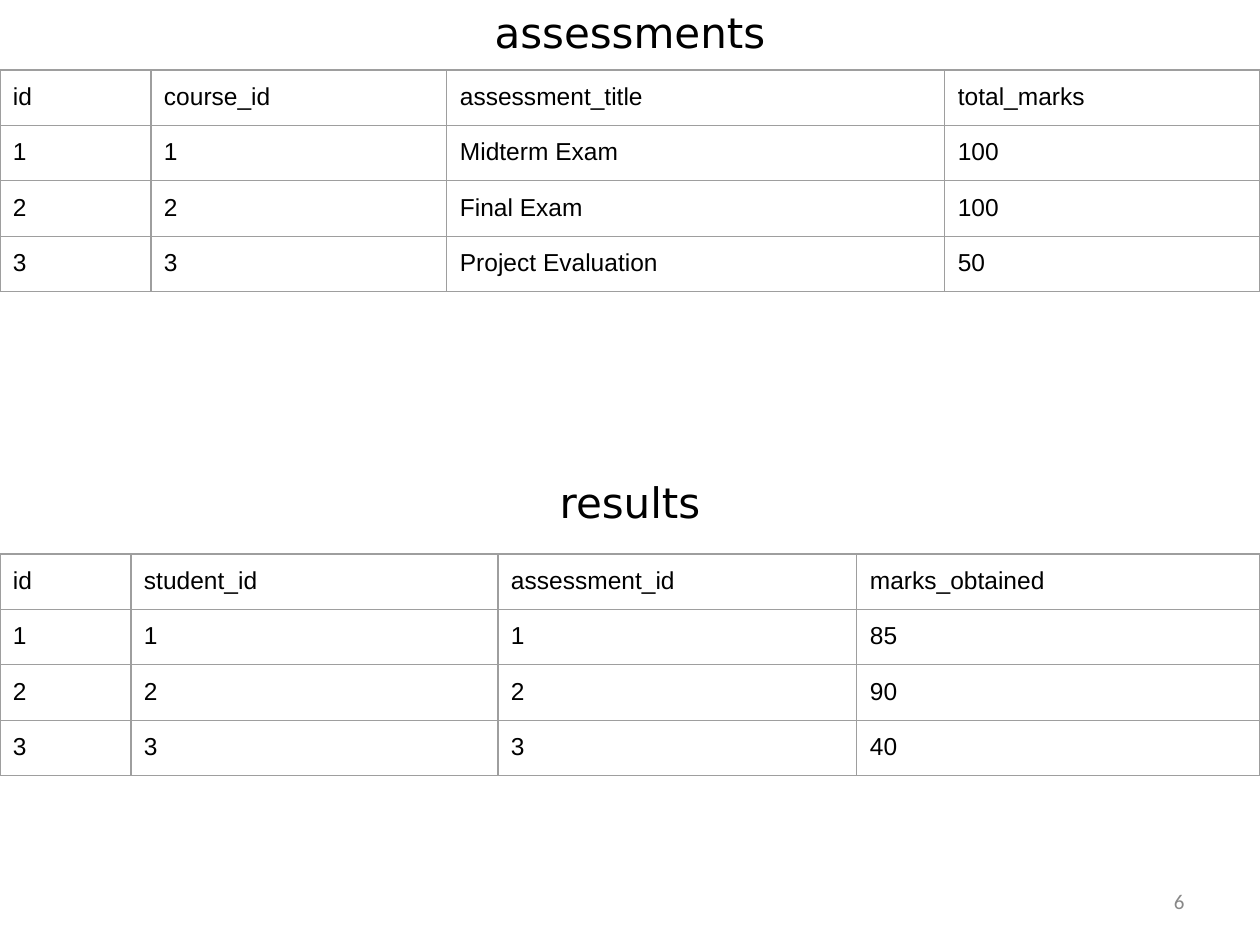
from lxml import etree
from pptx import Presentation
from pptx.dml.color import RGBColor
from pptx.enum.text import MSO_ANCHOR, MSO_AUTO_SIZE, PP_ALIGN
from pptx.oxml.ns import qn
from pptx.util import Pt

CENTER, RIGHT = PP_ALIGN.CENTER, PP_ALIGN.RIGHT
MIDDLE = MSO_ANCHOR.MIDDLE
NO_FIT = MSO_AUTO_SIZE.NONE
PX = 914400 // 126
WIDE, HIGH = 1260, 945
ROW, PAD = 53, 13
BLACK, GREY, RULE = "000000", "888888", "9E9E9E"

# heading, space before in points
HEADS = [("assessments", 4.8), ("results", 240)]
# top, column widths, rows
TABLES = [
    (70, [151, 296, 498, 315], [
        ("id", "course_id", "assessment_title", "total_marks"),
        ("1", "1", "Midterm Exam", "100"),
        ("2", "2", "Final Exam", "100"),
        ("3", "3", "Project Evaluation", "50"),
    ]),
    (554, [131, 367, 359, 403], [
        ("id", "student_id", "assessment_id", "marks_obtained"),
        ("1", "1", "1", "85"),
        ("2", "2", "2", "90"),
        ("3", "3", "3", "40"),
    ]),
]
PAGE = "6"


def px(*sizes):
    return [size * PX for size in sizes]


def add_run(para, text, font, size, color):
    run = para.add_run()
    run.text = text
    run.font.name = font
    run.font.size = Pt(size)
    run.font.color.rgb = RGBColor.from_string(color)


def add_rules(cell):
    props = cell._tc.get_or_add_tcPr()
    for spot, side in enumerate(("lnL", "lnR", "lnT", "lnB")):
        line = etree.Element(qn("a:" + side), w=str(Pt(0.75)))
        fill = etree.SubElement(line, qn("a:solidFill"))
        etree.SubElement(fill, qn("a:srgbClr"), val=RULE)
        props.insert(spot, line)


def add_grid(slide, top, cols, rows):
    place = px(0, top, sum(cols), ROW * len(rows))
    table = slide.shapes.add_table(len(rows), len(cols), *place).table
    table.first_row = table.horz_banding = False
    for col, width in zip(table.columns, px(*cols)):
        col.width = width
    for row, texts in zip(table.rows, rows):
        row.height = ROW * PX
        for cell, text in zip(row.cells, texts):
            cell.margin_left = cell.margin_right = PAD * PX
            cell.margin_top = cell.margin_bottom = PAD * PX
            cell.fill.background()
            add_rules(cell)
            add_run(cell.text_frame.paragraphs[0], text, "Arial", 14, BLACK)


def add_heads(body):
    body.left, body.top, body.width, body.height = px(0, 0, WIDE, HIGH)
    frame = body.text_frame
    frame.auto_size = NO_FIT
    for count, (text, gap) in enumerate(HEADS):
        para = frame.add_paragraph() if count else frame.paragraphs[0]
        para.alignment = CENTER
        para.space_before = Pt(gap)
        props = para._p.get_or_add_pPr()
        props.set("marL", "0")
        props.set("indent", "0")
        etree.SubElement(props, qn("a:buNone"))
        add_run(para, text, "DejaVu Sans", 24, BLACK)


def add_page(slide):
    frame = slide.shapes.add_textbox(*px(903, 876, 294, 50)).text_frame
    frame.word_wrap = True
    frame.vertical_anchor = MIDDLE
    para = frame.paragraphs[0]
    para.alignment = RIGHT
    add_run(para, PAGE, "Calibri", 12, GREY)


def main():
    deck = Presentation()
    deck.slide_width, deck.slide_height = px(WIDE, HIGH)
    slide = deck.slides.add_slide(deck.slide_layouts[1])
    title = slide.shapes.title.element
    title.getparent().remove(title)
    add_heads(slide.placeholders[1])
    add_page(slide)
    for top, cols, rows in TABLES:
        add_grid(slide, top, cols, rows)
    deck.save("out.pptx")


if __name__ == "__main__":
    main()
